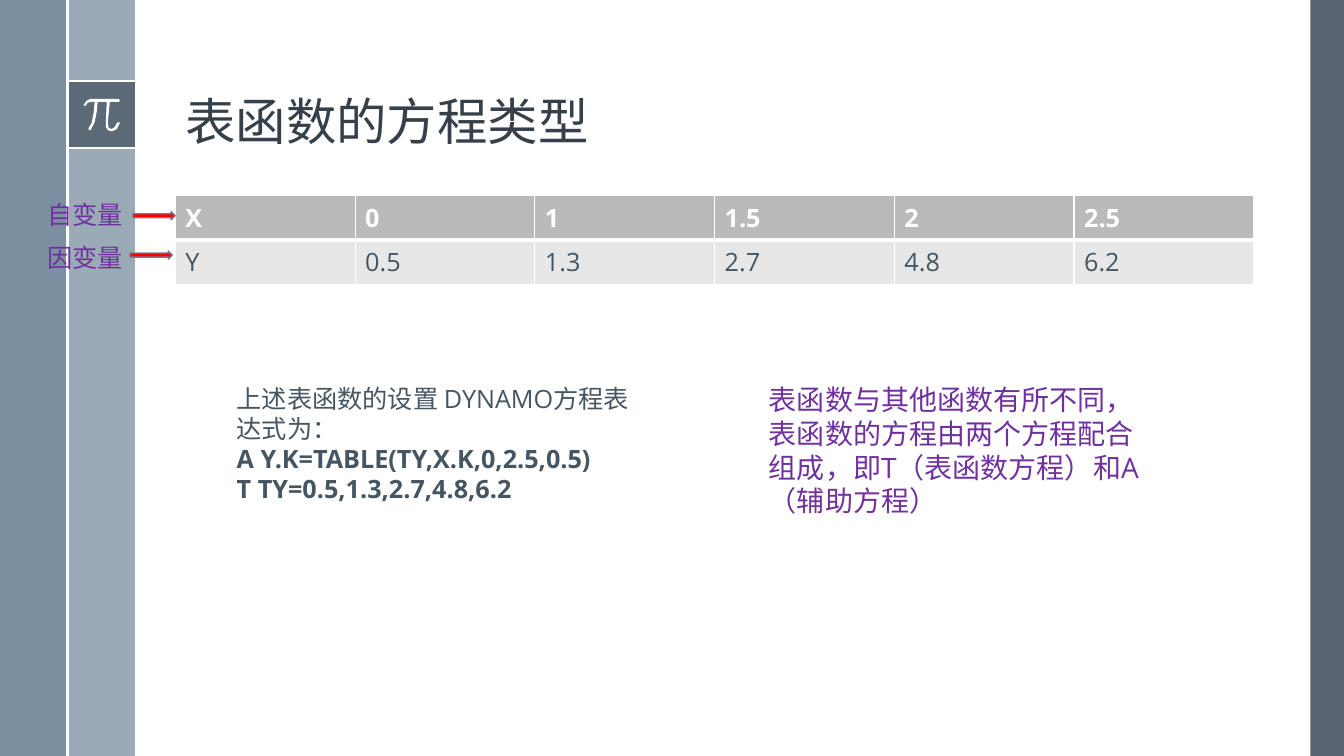
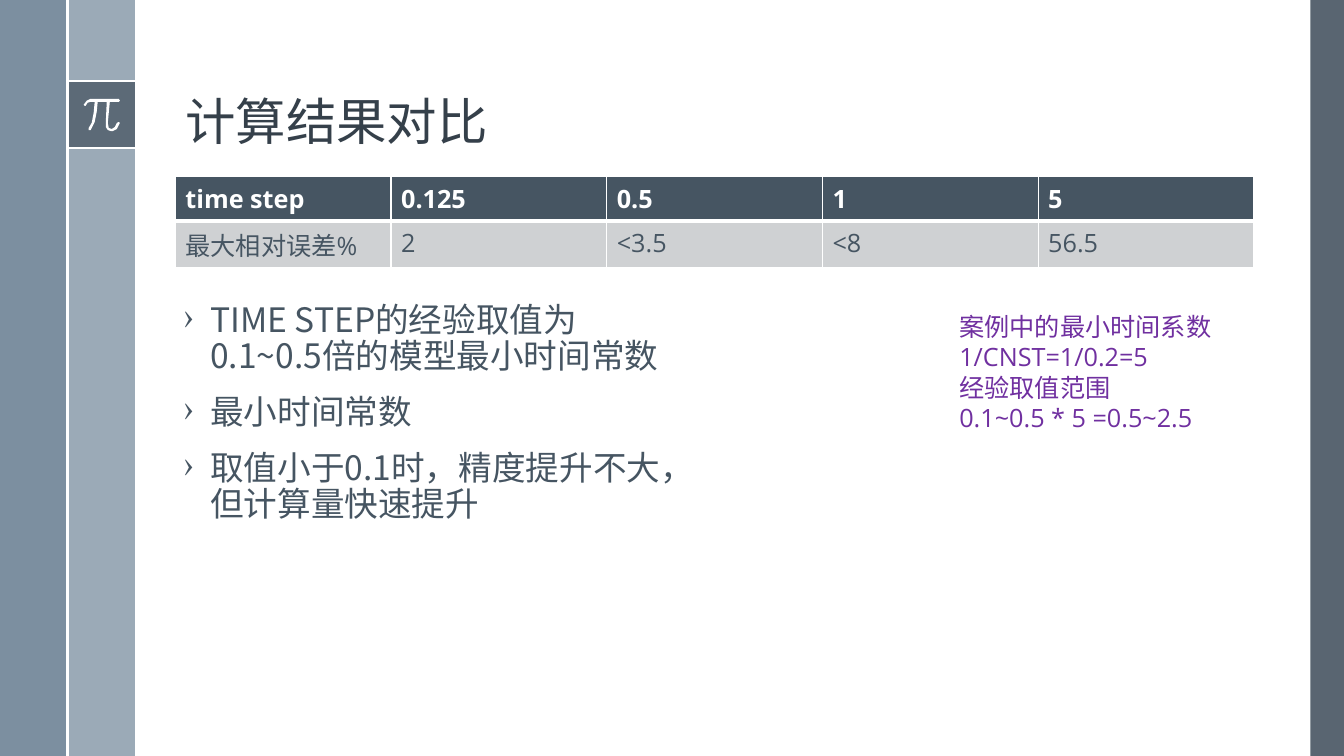
from lxml import etree
from pptx import Presentation
from pptx.dml.color import RGBColor
from pptx.enum.shapes import MSO_CONNECTOR, MSO_SHAPE
from pptx.enum.text import MSO_ANCHOR, MSO_AUTO_SIZE
from pptx.oxml.ns import qn
from pptx.util import Pt

RECTANGLE = MSO_SHAPE.RECTANGLE
RIGHT_ARROW = MSO_SHAPE.RIGHT_ARROW
STRAIGHT = MSO_CONNECTOR.STRAIGHT
TOP, BOTTOM = MSO_ANCHOR.TOP, MSO_ANCHOR.BOTTOM
FIXED, GROW = MSO_AUTO_SIZE.NONE, MSO_AUTO_SIZE.SHAPE_TO_FIT_TEXT

COLORS = {
    "white": "FFFFFF", "slate": "475562", "mist": "9BAAB7", "steel": "6A8093",
    "title": "35404A", "text": "465562", "purple": "7030A0", "red": "FF0000",
    "arrow_line": "737E87", "gray_head": "BABABA", "gray_row": "E7E7E7",
    "slate_row": "CFD1D3",
}
RGB = {name: RGBColor.from_string(value) for name, value in COLORS.items()}
LATIN, CHINESE = "Open Sans", "Noto Sans CJK SC"

WIDTH, HEIGHT = 960, 540
BAND = 48.2
BADGE_TOP, BADGE_BOTTOM = 58, 106
CONTENT_LEFT, CONTENT_WIDTH = 125.3, 770.4
ROW_HEIGHT = 29.2

BANDS = [
    (WIDTH - 24, 0, 24, HEIGHT, "slate", 90),
    (BAND, 0, BAND, HEIGHT, "mist", 100),
    (0, 0, BAND, HEIGHT, "steel", 88),
    (BAND, BADGE_TOP, BAND, BADGE_BOTTOM - BADGE_TOP, "slate", 75),
]
RULES = [
    (BAND, BADGE_TOP, 2 * BAND, BADGE_TOP),
    (BAND, BADGE_BOTTOM, 2 * BAND, BADGE_BOTTOM),
    (BAND, 0, BAND, HEIGHT),
]
PI_OUTLINE = [
    (118, 98), (90, 98), (86, 100), (83, 104), (84, 105), (85, 105), (87, 102),
    (90, 101), (94, 101), (93, 112), (91, 122), (88, 127), (88, 129), (90, 129),
    (94, 121), (96, 111), (97, 101), (106, 101), (105, 122), (105, 126),
    (107, 129), (110, 130), (112, 130), (116, 128), (119, 122), (118, 121),
    (116, 122), (114, 126), (111, 128), (108, 127), (107, 122), (109, 101),
    (118, 101), (119, 100),
]


def add_text(slide, frame, lines, size, color, font=LATIN, wrap=True,
             anchor=TOP, fit=GROW):
    box = slide.shapes.add_textbox(*map(Pt, frame))
    text_frame = box.text_frame
    text_frame.text = "\n".join(lines)
    text_frame.word_wrap = wrap
    text_frame.auto_size = fit
    text_frame.vertical_anchor = anchor
    for paragraph in text_frame.paragraphs:
        paragraph.font.size = Pt(size)
        paragraph.font.name = font
        paragraph.font.color.rgb = RGB[color]
    return text_frame.paragraphs


def add_data_table(slide, top, rows, fills):
    count = len(rows[0])
    table = slide.shapes.add_table(
        len(rows), count, Pt(CONTENT_LEFT), Pt(top), Pt(CONTENT_WIDTH),
        Pt(ROW_HEIGHT * len(rows))).table
    for column in table.columns:
        column.width = Pt(CONTENT_WIDTH / count)
    for row_index, values in enumerate(rows):
        header = row_index == 0
        for column_index, value in enumerate(values):
            cell = table.cell(row_index, column_index)
            cell.text = value
            font = cell.text_frame.paragraphs[0].font
            font.size = Pt(18)
            font.name = LATIN
            font.bold = header
            font.color.rgb = RGB["white" if header else "text"]
            properties = cell._tc.get_or_add_tcPr()
            for side in ("lnL", "lnR", "lnT", "lnB"):
                width = 3 if header and side == "lnB" else 1
                border = etree.SubElement(properties, qn("a:" + side), w=str(Pt(width)))
                fill = etree.SubElement(border, qn("a:solidFill"))
                etree.SubElement(fill, qn("a:srgbClr"), val=COLORS["white"])
            cell.fill.solid()
            cell.fill.fore_color.rgb = RGB[fills[row_index]]


presentation = Presentation()
presentation.slide_width = Pt(WIDTH)
presentation.slide_height = Pt(HEIGHT)
blank_layout = presentation.slide_layouts[6]

slides = []
for title in ("表函数的方程类型", "计算结果对比"):
    slide = presentation.slides.add_slide(blank_layout)
    slides.append(slide)
    for left, top, width, height, color, opacity in BANDS:
        band = slide.shapes.add_shape(RECTANGLE, Pt(left), Pt(top), Pt(width), Pt(height))
        band.shadow.inherit = False
        band.line.fill.background()
        band.fill.solid()
        band.fill.fore_color.rgb = RGB[color]
        if opacity < 100:
            color_element = band._element.spPr.find(".//" + qn("a:srgbClr"))
            etree.SubElement(color_element, qn("a:alpha"), val=str(opacity * 1000))
    for rule_ends in RULES:
        rule = slide.shapes.add_connector(STRAIGHT, *map(Pt, rule_ends))
        rule.line.color.rgb = RGB["white"]
        rule.line.width = Pt(1.5)
        etree.SubElement(rule._element.spPr, qn("a:effectLst"))
    builder = slide.shapes.build_freeform(*PI_OUTLINE[0], scale=Pt(0.72))
    builder.add_line_segments(PI_OUTLINE[1:], close=True)
    pi_sign = builder.convert_to_shape()
    pi_sign.shadow.inherit = False
    pi_sign.line.fill.background()
    pi_sign.fill.solid()
    pi_sign.fill.fore_color.rgb = RGB["white"]
    heading = add_text(slide, (CONTENT_LEFT, 13.7, CONTENT_WIDTH, 98), [title], 36,
                       "title", CHINESE, anchor=BOTTOM, fit=FIXED)
    heading[0].line_spacing = 0.9

equation_slide, result_slide = slides

add_data_table(equation_slide, 139.7, [
    ["X", "0", "1", "1.5", "2", "2.5"],
    ["Y", "0.5", "1.3", "2.7", "4.8", "6.2"],
], ["gray_head", "gray_row"])
equations = add_text(equation_slide, (162, 270, 311.8, 94.3), [
    "上述表函数的设置 DYNAMO方程表达式为：",
    "A Y.K=TABLE(TY,X.K,0,2.5,0.5)",
    "T TY=0.5,1.3,2.7,4.8,6.2",
], 18, "text")
for paragraph in equations[1:]:
    paragraph.font.bold = True
add_text(equation_slide, (542.2, 270, 283.7, 104.4), [
    "表函数与其他函数有所不同，表函数的方程由两个方程配合组成，即T（表函数方程）和A（辅助方程）",
], 20, "purple")
for label, label_top, arrow_left, arrow_top in (
        ("自变量", 139, 95, 151.2), ("因变量", 169.2, 92.9, 179.3)):
    add_text(equation_slide, (26.6, label_top, 69.1, 28.8), [label], 18, "purple", wrap=False)
    arrow = equation_slide.shapes.add_shape(
        RIGHT_ARROW, Pt(arrow_left), Pt(arrow_top), Pt(30.2), Pt(5.8))
    arrow.shadow.inherit = False
    arrow.fill.solid()
    arrow.fill.fore_color.rgb = RGB["red"]
    arrow.line.color.rgb = RGB["arrow_line"]
    arrow.line.width = Pt(1)

add_data_table(result_slide, 126, [
    ["time step", "0.125", "0.5", "1", "5"],
    ["最大相对误差%", "2", "<3.5", "<8", "56.5"],
], ["text", "slate_row"])
findings = add_text(result_slide, (123.8, 213.1, 365.8, 200.9), [
    "TIME STEP的经验取值为0.1~0.5倍的模型最小时间常数",
    "最小时间常数",
    "取值小于0.1时，精度提升不大，但计算量快速提升",
], 24, "text", CHINESE, fit=FIXED)
for paragraph in findings:
    paragraph.line_spacing = 0.9
    paragraph.space_before = Pt(14)
    properties = paragraph._p.get_or_add_pPr()
    properties.set("marL", str(Pt(19.4)))
    properties.set("indent", str(-Pt(19.4)))
    bullet = etree.Element(qn("a:buChar"), char="›")
    properties.find(qn("a:defRPr")).addprevious(bullet)
add_text(result_slide, (678.2, 218.9, 196.6, 94.3), [
    "案例中的最小时间系数",
    "1/CNST=1/0.2=5",
    "经验取值范围",
    "0.1~0.5 * 5 =0.5~2.5",
], 18, "purple", wrap=False)

presentation.save("out.pptx")
